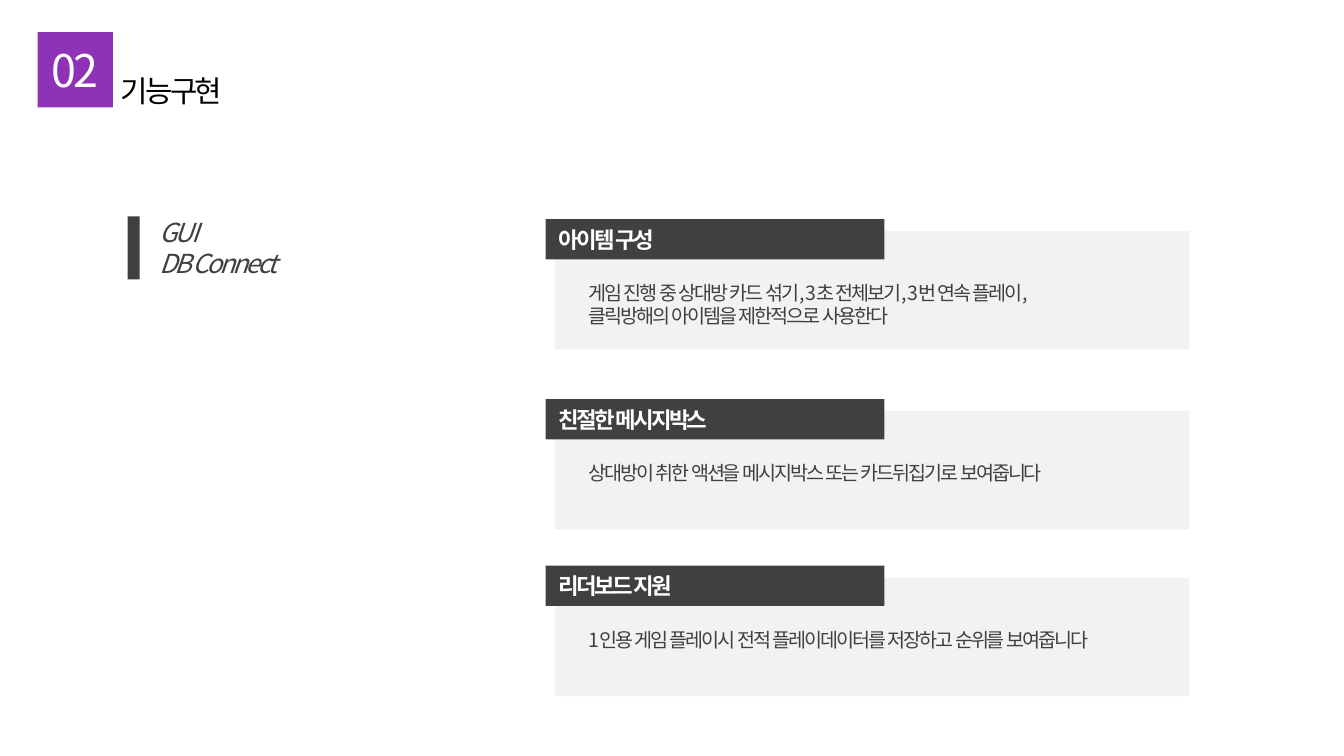
from dataclasses import dataclass

from pptx import Presentation
from pptx.dml.color import RGBColor
from pptx.enum.shapes import MSO_SHAPE
from pptx.enum.text import MSO_ANCHOR, MSO_AUTO_SIZE, PP_ALIGN
from pptx.oxml.ns import qn
from pptx.util import Inches, Pt


@dataclass(frozen=True)
class Theme:
    font: str = "Noto Sans CJK KR"
    purple: str = "8E33B7"
    dark: str = "404040"
    panel: str = "F2F2F2"
    white: str = "FFFFFF"
    black: str = "000000"
    number_size: float = 24
    title_size: float = 16
    topic_size: float = 14
    heading_size: float = 12
    body_size: float = 10.5


theme = Theme()
presentation = Presentation()
presentation.slide_width = Inches(10)
presentation.slide_height = Inches(10) * 9 // 16
slide = presentation.slides.add_slide(presentation.slide_layouts[5])


def add_rectangle(left, top, width, height, color):
    shape = slide.shapes.add_shape(
        MSO_SHAPE.RECTANGLE, Inches(left), Inches(top), Inches(width), Inches(height)
    )
    shape.shadow.inherit = False
    shape.fill.solid()
    shape.fill.fore_color.rgb = RGBColor.from_string(color)
    shape.line.fill.background()
    return shape


def write_text(shape, text, size, color, spacing=-150, bold=False, italic=False,
               align=PP_ALIGN.LEFT, anchor=MSO_ANCHOR.TOP):
    text_frame = shape.text_frame
    text_frame.text = text
    text_frame.word_wrap = True
    text_frame.auto_size = MSO_AUTO_SIZE.SHAPE_TO_FIT_TEXT
    text_frame.vertical_anchor = anchor
    for paragraph in text_frame.paragraphs:
        paragraph.alignment = align
        for run in paragraph.runs:
            font = run.font
            font.name = theme.font
            font.size = Pt(size)
            font.bold = bold
            font.italic = italic
            font.color.rgb = RGBColor.from_string(color)
            properties = run._r.get_or_add_rPr()
            properties.set("lang", "ko-KR")
            properties.set("spc", str(spacing))
            east_asian = properties.makeelement(qn("a:ea"), {"typeface": theme.font})
            properties.find(qn("a:latin")).addnext(east_asian)


# Section number and title
add_rectangle(0.28, 0.24, 0.56, 0.56, theme.purple)
number = slide.shapes.add_textbox(Inches(0.2), Inches(0.27), Inches(0.71), Inches(0.5))
write_text(number, "02", theme.number_size, theme.white, align=PP_ALIGN.CENTER)

title = slide.shapes.title
title.left, title.top = Inches(0.8), Inches(0.49)
title.width, title.height = Inches(2.2), Inches(0.37)
write_text(title, "기능구현", theme.title_size, theme.black)

# Topics with accent bar
add_rectangle(0.95, 1.61, 0.09, 0.47, theme.dark)
topics = slide.shapes.add_textbox(Inches(1.09), Inches(1.56), Inches(3.94), Inches(0.57))
write_text(topics, "GUI\nDB Connect", theme.topic_size, theme.dark, italic=True)

# Feature cards: top, heading, description, description width and height
features = [
    (1.63, "아이템 구성",
     "게임 진행 중 상대방 카드 섞기, 3초 전체보기, 3번 연속 플레이,\n"
     "클릭방해의 아이템을 제한적으로 사용한다", 4.26, 0.45),
    (2.97, "친절한 메시지박스",
     "상대방이 취한 액션을 메시지박스 또는 카드뒤집기로 보여줍니다", 4.26, 0.28),
    (4.21, "리더보드 지원",
     "1인용 게임 플레이시 전적 플레이데이터를 저장하고 순위를 보여줍니다", 4.73, 0.28),
]
for top, heading, description, width, height in features:
    add_rectangle(4.13, top + 0.09, 4.72, 0.88, theme.panel)
    heading_bar = add_rectangle(4.06, top, 2.52, 0.3, theme.dark)
    write_text(heading_bar, heading, theme.heading_size, theme.white, bold=True,
               anchor=MSO_ANCHOR.MIDDLE)
    body = slide.shapes.add_textbox(
        Inches(4.28), Inches(top + 0.41), Inches(width), Inches(height)
    )
    write_text(body, description, theme.body_size, theme.dark, spacing=-105)

presentation.save("out.pptx")
